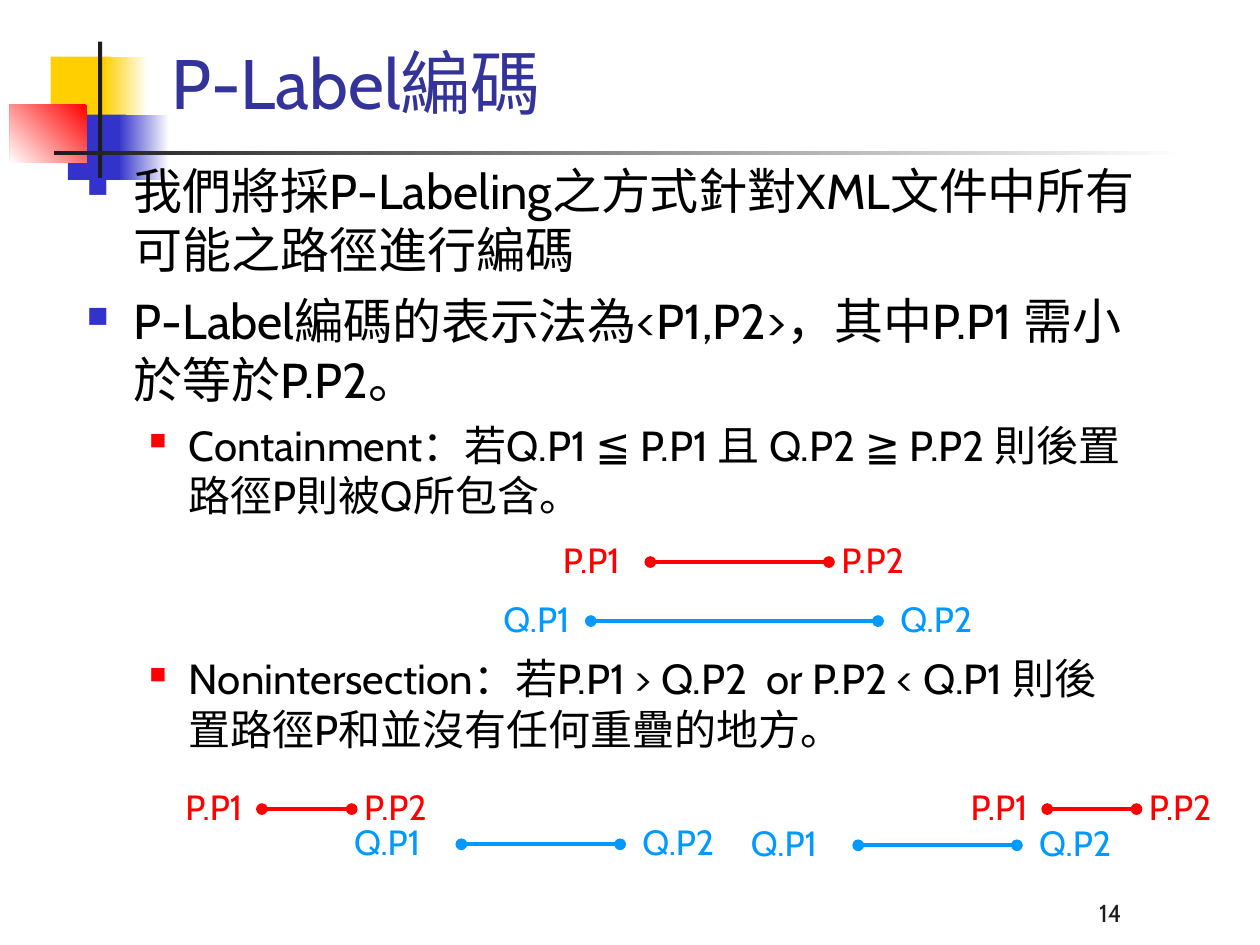
"""Build the slide that explains P-Label encoding and its interval relations."""
from lxml.etree import SubElement
from pptx import Presentation
from pptx.dml.color import RGBColor
from pptx.enum.shapes import MSO_CONNECTOR, MSO_SHAPE
from pptx.enum.text import MSO_ANCHOR, MSO_AUTO_SIZE, PP_ALIGN
from pptx.oxml.ns import qn
from pptx.util import Cm, Pt

COLOURS = {
    "yellow": "FFCF01", "blue": "3333CC", "red": "FF0000", "sky": "0099FF",
    "title": "333399", "dark": "1C1C1C", "black": "000000", "white": "FFFFFF",
}

DECORATIONS = [
    ((1.02, 1.14, 1.22, 1.32), ["yellow"], None),
    ((2.08, 1.14, 0.91, 1.32), ["white", "yellow"], 180),
    ((1.37, 2.31, 1.17, 1.32), ["blue"], None),
    ((2.39, 2.31, 1.02, 1.32), ["white", "blue"], 180),
    ((0.2, 2.11, 1.55, 1.17), ["red", "white"], 225),
    ((1.98, 0.84, 0.08, 2.92), ["dark"], None),
    ((1.09, 3.05, 22.86, 0.08), ["white", "dark"], 180),
]

LEVELS = [
    {"size": 28, "margin": 0.95, "hanging": 0.95, "colour": "blue", "scale": 60},
    {"size": 24, "margin": 2.06, "hanging": 0.8, "colour": "red", "scale": 55},
]

POINTS = [
    (0, 0, "我們將採P-Labeling之方式針對XML文件中所有可能之路徑進行編碼"),
    (0, 7, "P-Label編碼的表示法為<P1,P2>，其中P.P1 需小於等於P.P2。"),
    (1, 6, "Containment：若Q.P1 ≦ P.P1 且 Q.P2 ≧ P.P2 則後置路徑P則被Q所包含。"),
    (1, 76, "Nonintersection：若P.P1 > Q.P2  or P.P2 < Q.P1 則後置路徑P和並沒有任何重疊的地方。"),
]

PATHS = {
    "P": {"colour": "red", "height": 1.12, "right_gap": 0},
    "Q": {"colour": "sky", "height": 1.96, "right_gap": 0.2},
}

DIAGRAMS = [
    [("Q", 11.91, 17.7, 12.52, 2.01), ("P", 13.11, 16.71, 11.33, 2.01)],
    [("Q", 9.3, 12.5, 17.02, 2.41), ("P", 5.28, 7.09, 16.31, 1.79),
     ("Q", 17.3, 20.5, 17.04, 2.41), ("P", 21.11, 22.91, 16.31, 1.79)],
]


def colour_of(name):
    """Return the named colour."""
    return RGBColor.from_string(COLOURS[name])


def set_all(target, values):
    """Set every attribute in a dict of format values."""
    for name, value in values.items():
        setattr(target, name, value)


def write(para, text, size, colour):
    """Add one formatted span of text to a paragraph."""
    span = para.add_run()
    span.text = text
    set_all(span.font, {"name": "Cabin", "size": Pt(size), "bold": False})
    span.font.color.rgb = colour_of(colour)


def prepare_frame(box, anchor=MSO_ANCHOR.TOP):
    """Make a box wrap at fixed size and return its text frame."""
    frame = box.text_frame
    set_all(frame, {"word_wrap": True, "auto_size": MSO_AUTO_SIZE.NONE,
                    "vertical_anchor": anchor})
    return frame


def add_text(shapes, place, text, size, colour, **options):
    """Add a text box that holds a single paragraph."""
    box = shapes.add_textbox(*map(Cm, place))
    frame = prepare_frame(box, options.get("anchor", MSO_ANCHOR.TOP))
    para = frame.paragraphs[0]
    para.alignment = options.get("align", PP_ALIGN.LEFT)
    write(para, text, size, colour)


def add_decoration(shapes, place, colours, angle):
    """Add a borderless rectangle with a solid or gradient fill."""
    block = shapes.add_shape(MSO_SHAPE.RECTANGLE, *map(Cm, place))
    block.shadow.inherit = False
    block.line.fill.background()
    if angle is None:
        block.fill.solid()
        block.fill.fore_color.rgb = colour_of(colours[0])
        return
    block.fill.gradient()
    block.fill.gradient_angle = angle
    for stop, colour, position in zip(block.fill.gradient_stops, colours, (0, 1)):
        stop.color.rgb = colour_of(colour)
        stop.position = position


def format_title(title):
    """Place the title placeholder and write its text."""
    place = map(Cm, (3.2, 0.43, 21.64, 2.18))
    set_all(title, dict(zip(("left", "top", "width", "height"), place)))
    para = prepare_frame(title, MSO_ANCHOR.BOTTOM).paragraphs[0]
    para.alignment = PP_ALIGN.LEFT
    write(para, "P-Label編碼", 40, "title")


def add_bullet(para, style):
    """Give a paragraph a hanging square bullet."""
    properties = para._p.get_or_add_pPr()
    properties.set("marL", str(Cm(style["margin"])))
    properties.set("indent", str(-Cm(style["hanging"])))
    colour = SubElement(properties, qn("a:buClr"))
    SubElement(colour, qn("a:srgbClr"), val=COLOURS[style["colour"]])
    SubElement(properties, qn("a:buSzPct"), val=str(style["scale"] * 1000))
    SubElement(properties, qn("a:buChar"), char="■")


def add_points(shapes):
    """Add the two-level bullet list."""
    box = shapes.add_textbox(*map(Cm, (1.5, 3.12, 21.69, 13.77)))
    frame = prepare_frame(box)
    for index, (level, space, text) in enumerate(POINTS):
        para = frame.add_paragraph() if index else frame.paragraphs[0]
        add_bullet(para, LEVELS[level])
        set_all(para, {"level": level, "space_before": Pt(space)})
        write(para, text, LEVELS[level]["size"], "black")


def add_interval(shapes, path_name, start, end, height, left_gap):
    """Add a round-ended line with a label at each end."""
    style = PATHS[path_name]
    line = shapes.add_connector(
        MSO_CONNECTOR.STRAIGHT, Cm(start), Cm(height), Cm(end), Cm(height))
    line.line.width = Pt(2.25)
    line.line.color.rgb = colour_of(style["colour"])
    for tip in ("a:headEnd", "a:tailEnd"):
        SubElement(line.line._get_or_add_ln(), qn(tip), type="oval")
    SubElement(line._element.spPr, qn("a:effectLst"))
    label_lefts = (start - left_gap, end + style["right_gap"])
    for number, left in enumerate(label_lefts, 1):
        place = (left, height - 0.6, 2.01, style["height"])
        add_text(shapes, place, f"{path_name}.P{number}", 20, style["colour"])


def main():
    """Build and save the deck."""
    deck = Presentation()
    set_all(deck, {"slide_width": Cm(25.4), "slide_height": Cm(19.05)})
    page = deck.slides.add_slide(deck.slide_layouts[5])
    for decoration in DECORATIONS:
        add_decoration(page.shapes, *decoration)
    format_title(page.shapes.title)
    add_points(page.shapes)
    for intervals in DIAGRAMS:
        group = page.shapes.add_group_shape()
        for interval in intervals:
            add_interval(group.shapes, *interval)
    add_text(page.shapes, (17.58, 17.55, 5.28, 1.27), "14", 14, "dark",
             anchor=MSO_ANCHOR.BOTTOM, align=PP_ALIGN.RIGHT)
    deck.save("out.pptx")


if __name__ == "__main__":
    main()
